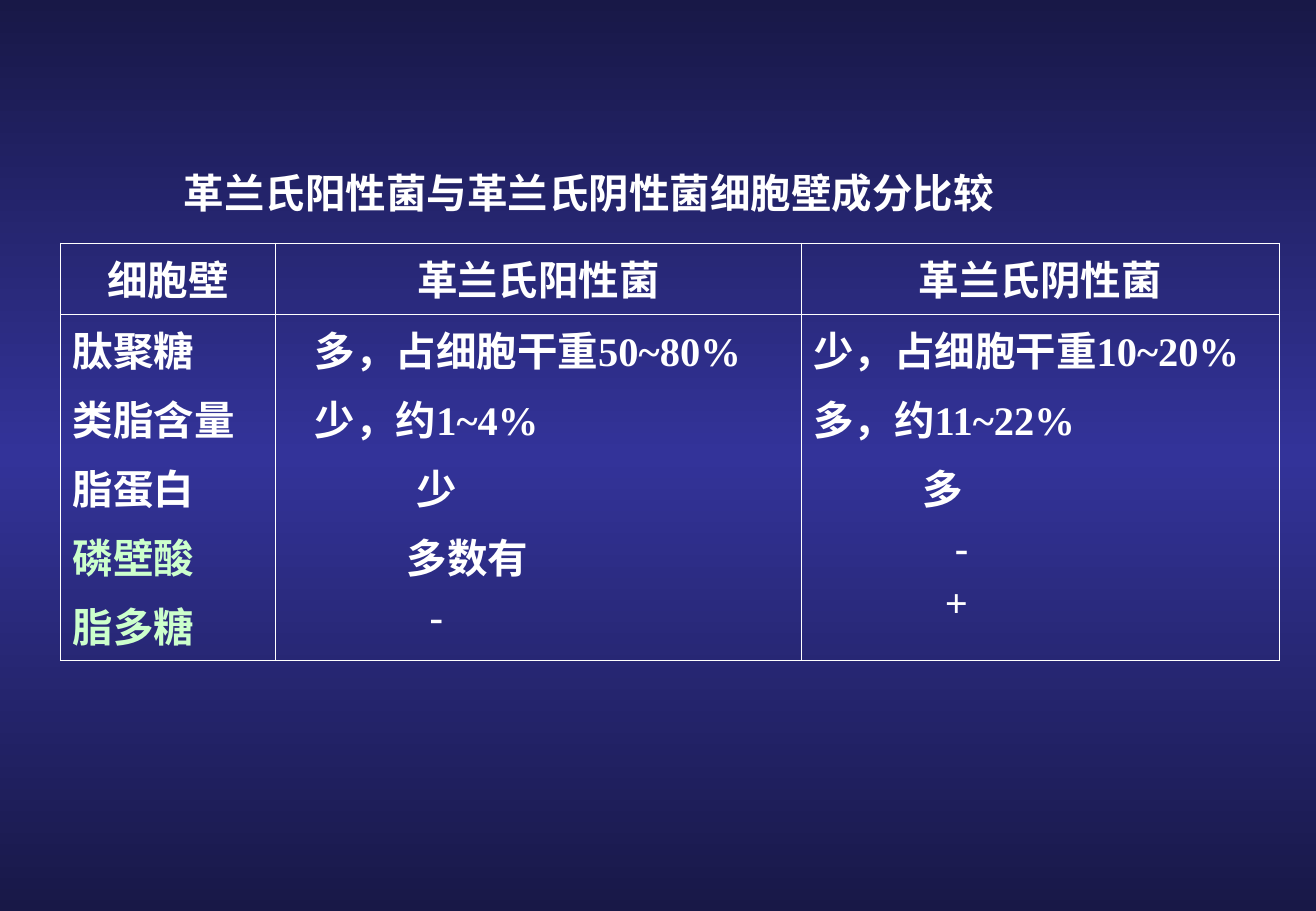
from copy import deepcopy
from dataclasses import dataclass

from lxml import etree
from pptx import Presentation
from pptx import util as u
from pptx.dml import color
from pptx.enum import lang, text
from pptx.oxml import ns

Pt = u.Pt
WHITE = color.RGBColor(0xFF, 0xFF, 0xFF)
MINT = color.RGBColor(0xCC, 0xFF, 0xCC)
NIGHT = color.RGBColor(0x18, 0x18, 0x47)
INDIGO = color.RGBColor(0x33, 0x33, 0x99)

BODY_FONT = "Times New Roman"
TITLE_FONT = "Karla"
BORDER_WIDTH = 0.45
COLUMN_WIDTHS = (127.5, 311.5, 283.5)
ROW_HEIGHTS = (36, 204.5)
FORMAT = {
    "size": Pt(24),
    "bold": True,
    "language_id": lang.MSO_LANGUAGE_ID.SIMPLIFIED_CHINESE,
}
INSETS = {
    "margin_left": Pt(7.2),
    "margin_right": Pt(7.2),
    "margin_top": Pt(3.6),
    "margin_bottom": Pt(3.6),
}


@dataclass(frozen=True)
class Line:
    wording: str
    indent: float = 0
    ink: color.RGBColor = WHITE
    align: text.PP_ALIGN = text.PP_ALIGN.LEFT


def heading(wording: str) -> list[Line]:
    return [Line(wording, align=text.PP_ALIGN.CENTER)]


COMPARISON = (
    (heading("细胞壁"), heading("革兰氏阳性菌"), heading("革兰氏阴性菌")),
    (
        [
            Line("肽聚糖"),
            Line("类脂含量"),
            Line("脂蛋白"),
            Line("磷壁酸", ink=MINT),
            Line("脂多糖", ink=MINT),
        ],
        [
            Line("多，占细胞干重50~80%", 16),
            Line("少，约1~4%", 16),
            Line("少", 76.5),
            Line("多数有", 70.5),
            Line("-", 84),
        ],
        [
            Line("少，占细胞干重10~20%"),
            Line("多，约11~22%"),
            Line("多", 65),
            Line("-", 84),
            Line("+", 78),
        ],
    ),
)


def apply(target, values: dict) -> None:
    for name, value in values.items():
        setattr(target, name, value)


def write_lines(frame, lines: list[Line], font_name: str) -> None:
    for index, line in enumerate(lines):
        paragraph = frame.add_paragraph() if index else frame.paragraphs[0]
        paragraph.alignment = line.align
        if index:
            paragraph.space_before = Pt(6)
        if line.indent:
            properties = paragraph._p.get_or_add_pPr()
            properties.set("marL", str(Pt(line.indent)))
            properties.set("indent", "0")
        run = paragraph.add_run()
        run.text = line.wording
        apply(run.font, FORMAT | {"name": font_name})
        run.font.color.rgb = line.ink


def draw_borders(cell) -> None:
    properties = cell._tc.get_or_add_tcPr()
    for position, side in enumerate(("lnL", "lnR", "lnT", "lnB")):
        border = etree.Element(ns.qn(f"a:{side}"), w=str(Pt(BORDER_WIDTH)))
        fill = etree.SubElement(border, ns.qn("a:solidFill"))
        etree.SubElement(fill, ns.qn("a:srgbClr"), val=str(WHITE))
        properties.insert(position, border)


def paint_background(slide) -> None:
    fill = slide.background.fill
    fill.gradient()
    fill.gradient_angle = 270
    stop_list = slide.background._cSld.find(f".//{ns.qn('a:gsLst')}")
    stop_list.insert(1, deepcopy(stop_list[0]))
    for stop, position, shade in zip(
        fill.gradient_stops, (0, 0.5, 1), (NIGHT, INDIGO, NIGHT)
    ):
        stop.position = position
        stop.color.rgb = shade


def add_title(slide) -> None:
    title = slide.shapes.add_textbox(Pt(102), Pt(96), Pt(598.5), Pt(36))
    frame = title.text_frame
    apply(
        frame,
        INSETS
        | {"word_wrap": True, "auto_size": text.MSO_AUTO_SIZE.SHAPE_TO_FIT_TEXT},
    )
    write_lines(frame, [Line("革兰氏阳性菌与革兰氏阴性菌细胞壁成分比较")], TITLE_FONT)


def add_comparison(slide) -> None:
    table = slide.shapes.add_table(
        len(ROW_HEIGHTS),
        len(COLUMN_WIDTHS),
        Pt(36),
        Pt(144),
        Pt(sum(COLUMN_WIDTHS)),
        Pt(sum(ROW_HEIGHTS)),
    ).table
    apply(table, {"first_row": False, "horz_banding": False})
    for column, width in zip(table.columns, COLUMN_WIDTHS):
        column.width = Pt(width)
    for row, height, contents in zip(table.rows, ROW_HEIGHTS, COMPARISON):
        row.height = Pt(height)
        for cell, lines in zip(row.cells, contents):
            apply(cell, INSETS)
            cell.fill.background()
            draw_borders(cell)
            write_lines(cell.text_frame, lines, BODY_FONT)


def main() -> None:
    deck = Presentation()
    apply(deck, {"slide_width": Pt(780.25), "slide_height": Pt(540)})
    slide = deck.slides.add_slide(deck.slide_layouts[6])
    paint_background(slide)
    add_comparison(slide)
    add_title(slide)
    deck.save("out.pptx")


if __name__ == "__main__":
    main()
